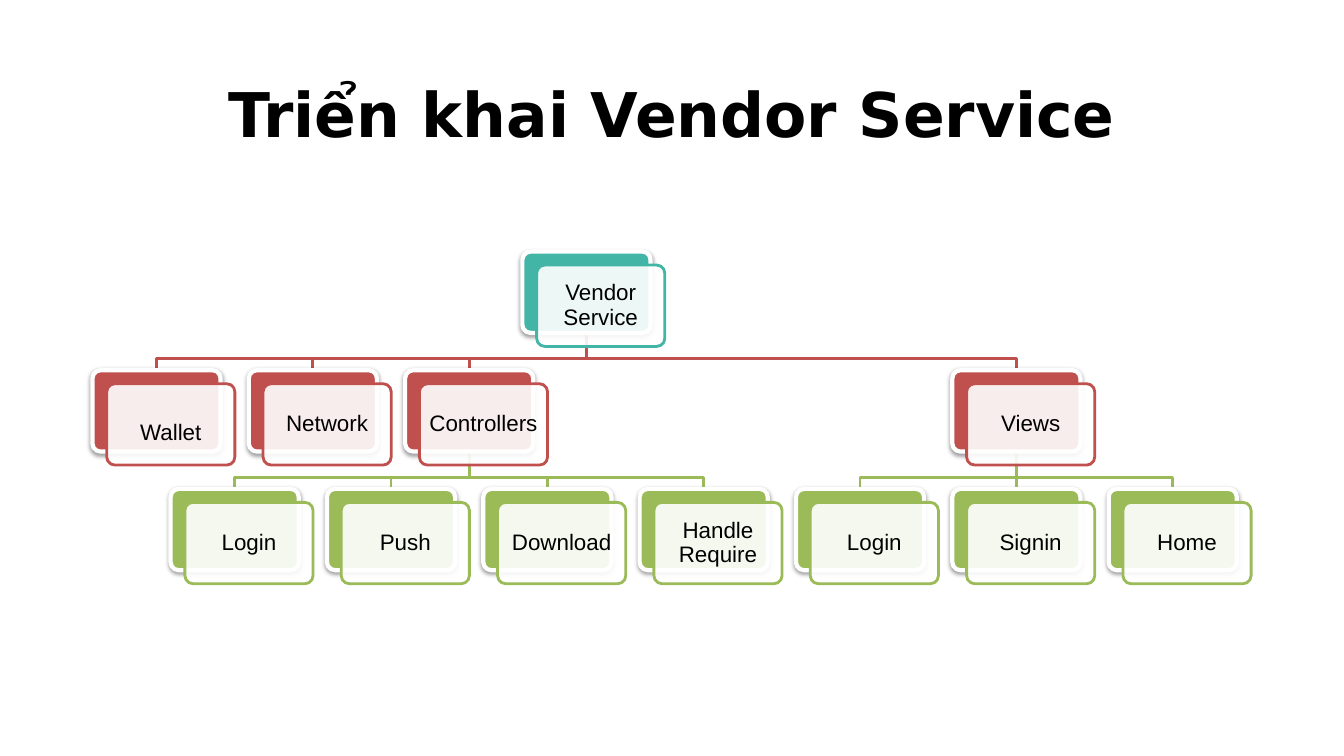
import pptx
import pptx.util
import pptx.dml.color
import pptx.enum.shapes
import pptx.enum.text
import pptx.oxml
import pptx.oxml.ns
import lxml.etree

Cm, Pt = pptx.util.Cm, pptx.util.Pt
ROUNDED = pptx.enum.shapes.MSO_SHAPE.ROUNDED_RECTANGLE
STRAIGHT = pptx.enum.shapes.MSO_CONNECTOR.STRAIGHT
MIDDLE = pptx.enum.text.MSO_ANCHOR.MIDDLE
CENTER = pptx.enum.text.PP_ALIGN.CENTER
qn = pptx.oxml.ns.qn

# Layout of the tree, in centimetres
FIRST_LEFT, COLUMN_STEP = 2.33, 3.94
FIRST_TOP, ROW_STEP = 6.34, 2.99
CARD_WIDTH, CARD_HEIGHT = 3.23, 2.05
FRONT_RIGHT, FRONT_DOWN = 0.36, 0.34
ELBOW_DROP = 0.65
LEVEL_COLORS = ["42B5A6", "C0504D", "9BBB59"]

# Label, level, column, index of the parent
nodes = [
    ("Vendor Service", 0, 2.75, None),
    ("Wallet", 1, 0, 0),
    ("Network", 1, 1, 0),
    ("Controllers", 1, 2, 0),
    ("Login", 2, 0.5, 3),
    ("Push", 2, 1.5, 3),
    ("Download", 2, 2.5, 3),
    ("Handle Require", 2, 3.5, 3),
    ("Views", 1, 5.5, 0),
    ("Login", 2, 4.5, 8),
    ("Signin", 2, 5.5, 8),
    ("Home", 2, 6.5, 8),
]


def rgb(value):
    return pptx.dml.color.RGBColor.from_string(value)


def style_text(frame, text, font_name, size):
    frame.word_wrap = True
    frame.vertical_anchor = MIDDLE
    frame.text = text
    paragraph = frame.paragraphs[0]
    paragraph.alignment = CENTER
    font = paragraph.runs[0].font
    font.name, font.size = font_name, Pt(size)
    font.color.rgb = rgb("000000")
    return paragraph


presentation = pptx.Presentation()
presentation.slide_width = Cm(33.87)
presentation.slide_height = Cm(19.05)
slide = presentation.slides.add_slide(presentation.slide_layouts[6])

# Title
title = slide.shapes.add_textbox(Cm(2.33), Cm(1.01), Cm(29.21), Cm(3.68))
title_line = style_text(title.text_frame, "Triển khai Vendor Service", "DejaVu Sans", 44)
title_line.runs[0].font.bold = True

# Branches from each parent to its children
for label, level, column, parent in nodes:
    if parent is None:
        continue
    parent_column = nodes[parent][2]
    parent_x, child_x = [Cm(FIRST_LEFT + c * COLUMN_STEP + CARD_WIDTH / 2)
                         for c in (parent_column, column)]
    child_top = FIRST_TOP + level * ROW_STEP
    parent_bottom = child_top - ROW_STEP + CARD_HEIGHT
    if column == parent_column:
        branch = slide.shapes.add_connector(
            STRAIGHT, parent_x, Cm(parent_bottom), child_x, Cm(child_top))
        lxml.etree.SubElement(branch._element.spPr, qn("a:effectLst"))
    else:
        elbow_y = Cm(parent_bottom + ELBOW_DROP)
        outline = slide.shapes.build_freeform(parent_x, Cm(parent_bottom))
        outline.add_line_segments(
            [(parent_x, elbow_y), (child_x, elbow_y), (child_x, Cm(child_top))],
            close=False)
        branch = outline.convert_to_shape()
        branch.fill.background()
        branch.shadow.inherit = False
    branch.line.color.rgb = rgb(LEVEL_COLORS[level])
    branch.line.width = Pt(2)

# Cards: a coloured back and a translucent front with the label
for label, level, column, parent in nodes:
    color = LEVEL_COLORS[level]
    left = FIRST_LEFT + column * COLUMN_STEP
    top = FIRST_TOP + level * ROW_STEP
    back = slide.shapes.add_shape(
        ROUNDED, Cm(left), Cm(top), Cm(CARD_WIDTH), Cm(CARD_HEIGHT))
    front = slide.shapes.add_shape(
        ROUNDED, Cm(left + FRONT_RIGHT), Cm(top + FRONT_DOWN),
        Cm(CARD_WIDTH), Cm(CARD_HEIGHT))
    for card, fill, line, width in [(back, color, "FFFFFF", 3),
                                    (front, "FFFFFF", color, 2)]:
        card.adjustments[0] = 0.1
        card.fill.solid()
        card.fill.fore_color.rgb = rgb(fill)
        card.line.color.rgb = rgb(line)
        card.line.width = Pt(width)
        card.shadow.inherit = False

    # Soft shadow under the back card
    effects = back._element.spPr.find(qn("a:effectLst"))
    effects.append(pptx.oxml.parse_xml(
        '<a:outerShdw xmlns:a="http://schemas.openxmlformats.org/drawingml/2006/main"'
        ' blurRad="40000" dist="20000" dir="5400000" rotWithShape="0">'
        '<a:srgbClr val="000000"><a:alpha val="38000"/></a:srgbClr></a:outerShdw>'))

    # Front card at 90 % opacity
    front_color = front._element.spPr.find(qn("a:solidFill"))[0]
    lxml.etree.SubElement(front_color, qn("a:alpha")).set("val", "90000")

    frame = front.text_frame
    frame.margin_left = frame.margin_right = Cm(0.17)
    frame.margin_top = frame.margin_bottom = Cm(0.17)
    label_line = style_text(frame, label, "Arial", 16)
    label_line.line_spacing = 1.5 if label == "Wallet" else 0.9

presentation.save("out.pptx")
